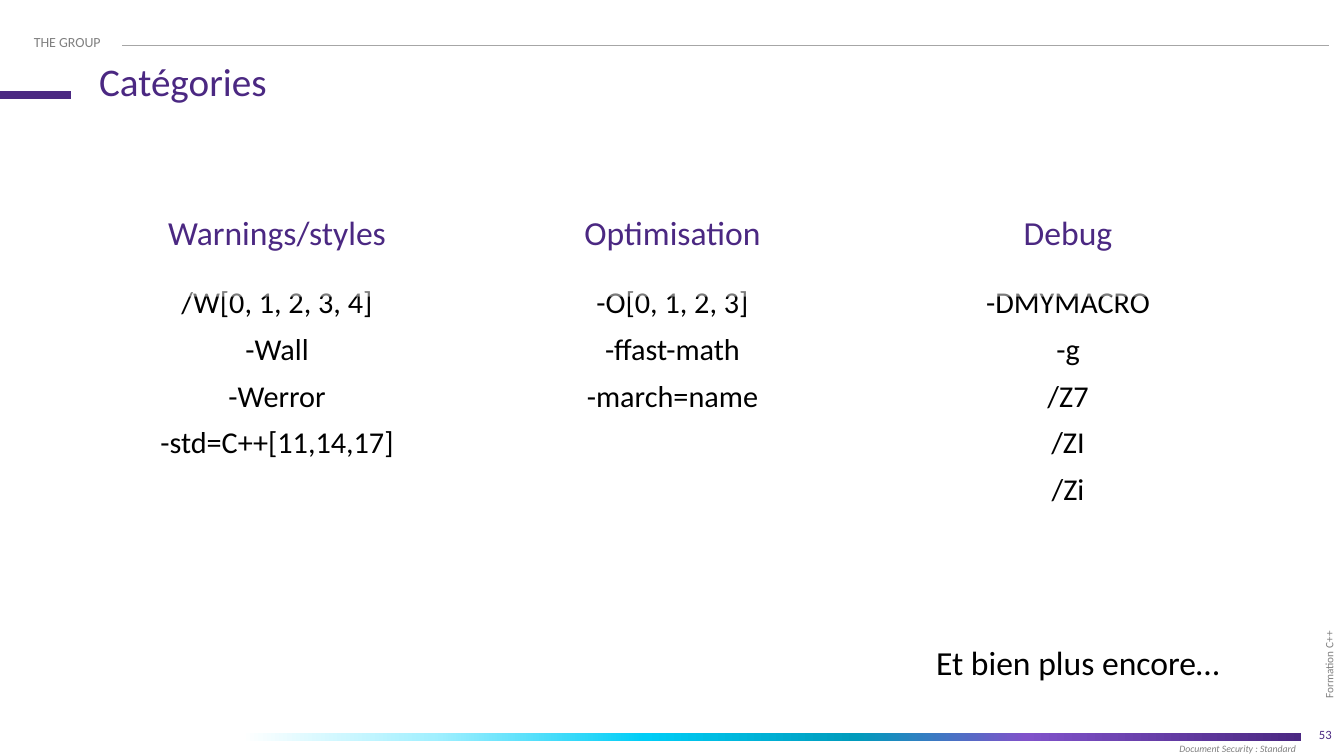
from lxml.etree import SubElement
from pptx import Presentation
from pptx.dml.color import RGBColor
from pptx.enum.shapes import MSO_CONNECTOR, MSO_SHAPE
from pptx.enum.text import MSO_ANCHOR, PP_ALIGN
from pptx.oxml.ns import qn
from pptx.util import Pt

PURPLE = RGBColor(0x4B, 0x28, 0x82)
GRAY = RGBColor(0x80, 0x80, 0x80)
RULE_GRAY = RGBColor(0xA6, 0xA6, 0xA6)
BLACK = RGBColor(0, 0, 0)
WHITE = RGBColor(0xFF, 0xFF, 0xFF)
BAR_STOPS = [
    (0, WHITE),
    (18, RGBColor(0xA3, 0xF0, 0xFF)),
    (38, RGBColor(0x00, 0xCD, 0xF6)),
    (58, RGBColor(0x00, 0x9B, 0xBC)),
    (74, RGBColor(0x80, 0x52, 0xCA)),
    (100, PURPLE),
]

COLUMNS = [
    ("Warnings/styles", ["/W[0, 1, 2, 3, 4]", "-Wall", "-Werror", "-std=C++[11,14,17]"]),
    ("Optimisation", ["-O[0, 1, 2, 3]", "-ffast-math", "-march=name"]),
    ("Debug", ["-DMYMACRO", "-g", "/Z7", "/ZI", "/Zi"]),
]
COLUMN_LEFT, COLUMN_STEP, COLUMN_WIDTH = 61.2, 235.4, 207.4


def set_values(target, values):
    for name, value in values.items():
        setattr(target, name, value)


def write_text(shape, lines, size, color, align=PP_ALIGN.LEFT, spacing=1.0,
               before=0, italic=False, inset=(7.2, 3.6), wrap=True,
               anchor=MSO_ANCHOR.TOP):
    frame = shape.text_frame
    side, edge = Pt(inset[0]), Pt(inset[1])
    set_values(frame, {
        "margin_left": side, "margin_right": side,
        "margin_top": edge, "margin_bottom": edge,
        "word_wrap": wrap, "vertical_anchor": anchor,
    })
    for index, line in enumerate(lines):
        paragraph = frame.add_paragraph() if index else frame.paragraphs[0]
        paragraph.text = line
        set_values(paragraph, {
            "alignment": align, "line_spacing": spacing,
            "space_before": Pt(before if index else 0),
        })
        set_values(paragraph.font, {"name": "Calibri", "size": Pt(size), "italic": italic})
        paragraph.font.color.rgb = color


def add_label(slide, box, text, size, color, rotation=0, **text_format):
    label = slide.shapes.add_textbox(*map(Pt, box))
    label.rotation = rotation
    write_text(label, [text], size, color, **text_format)


def add_panel(slide, box, lines, size, color, opacity):
    panel = slide.shapes.add_shape(MSO_SHAPE.RECTANGLE, *map(Pt, box))
    panel.shadow.inherit = False
    panel.line.fill.background()
    panel.fill.solid()
    panel.fill.fore_color.rgb = WHITE
    fill_color = panel.fill._xPr.find(".//" + qn("a:srgbClr"))
    SubElement(fill_color, qn("a:alpha"), val=str(opacity * 1000))
    write_text(panel, lines, size, color, PP_ALIGN.CENTER, spacing=0.9, before=8.3)


def add_rule(slide, left, right, y, color, width):
    rule = slide.shapes.add_connector(
        MSO_CONNECTOR.STRAIGHT, Pt(left), Pt(y), Pt(right), Pt(y))
    rule.line.color.rgb = color
    rule.line.width = Pt(width)
    SubElement(rule._element.spPr, qn("a:effectLst"))


def add_gradient_bar(slide, box, stops):
    bar = slide.shapes.add_shape(MSO_SHAPE.RECTANGLE, *map(Pt, box))
    bar.shadow.inherit = False
    bar.line.fill.background()
    bar.fill.gradient()
    bar.fill.gradient_angle = 0
    stop_list = bar.fill._xPr.find(".//" + qn("a:gsLst"))
    for old_stop in list(stop_list):
        stop_list.remove(old_stop)
    for position, color in stops:
        stop = SubElement(stop_list, qn("a:gs"), pos=str(position * 1000))
        SubElement(stop, qn("a:srgbClr"), val=str(color))


def add_title(slide, box, text):
    title = slide.shapes.title
    set_values(title, dict(zip(("left", "top", "width", "height"), map(Pt, box))))
    write_text(title, [text], 23.3, PURPLE, spacing=0.9)


def add_frame(slide):
    middle = MSO_ANCHOR.MIDDLE
    add_label(slide, (714.2, 334.8, 152, 21.6), "Formation C++", 6.7, GRAY,
              rotation=270, spacing=1.2, inset=(5.8, 5.8), anchor=middle)
    add_label(slide, (618.5, 425.5, 180, 23.8), "53", 7.5, PURPLE,
              align=PP_ALIGN.RIGHT, inset=(5.8, 2.9), anchor=middle)
    add_label(slide, (699.8, 440, 75.6, 11.5), "Document Security : Standard", 5.8, GRAY,
              italic=True, inset=(2.2, 2.2), wrap=False, anchor=middle)
    add_gradient_bar(slide, (144, 436.3, 630.7, 5), BAR_STOPS)
    add_label(slide, (13, 16.6, 114.5, 17.3), "THE GROUP", 8.3, GRAY)
    add_rule(slide, 72.7, 791.3, 27, RULE_GRAY, 0.5)
    add_rule(slide, 0, 42.5, 56.5, PURPLE, 4.5)


def main():
    presentation = Presentation()
    presentation.slide_width, presentation.slide_height = Pt(800), Pt(450)
    slide = presentation.slides.add_slide(presentation.slide_layouts[5])

    # Header, footer and title
    add_frame(slide)
    add_title(slide, (51.8, 33.8, 334.8, 21.6), "Catégories")

    # Option columns: the heading panel overlaps the top of the list
    for index, (heading, options) in enumerate(COLUMNS):
        left = COLUMN_LEFT + index * COLUMN_STEP
        add_panel(slide, (left, 167.8, COLUMN_WIDTH, 187.2), options, 18, BLACK, 74)
        add_panel(slide, (left, 125.5, COLUMN_WIDTH, 51.1), [heading], 20, PURPLE, 48)

    # Closing remark
    add_label(slide, (550.1, 378.7, 192.2, 31.7), "Et bien plus encore…", 20, BLACK, wrap=False)

    presentation.save("out.pptx")


if __name__ == "__main__":
    main()
